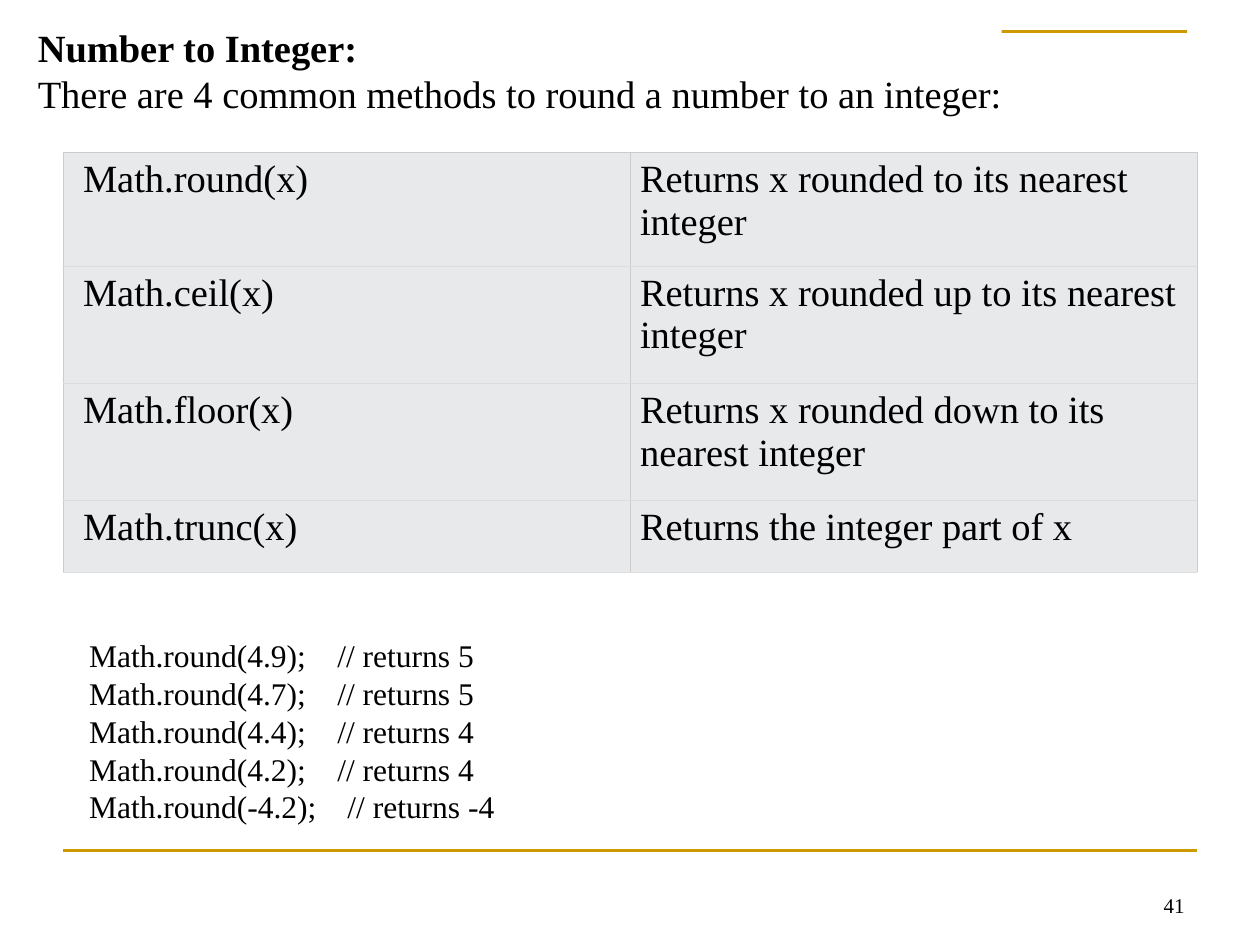
from lxml import etree
from pptx import Presentation, util as u
from pptx.dml.color import RGBColor
from pptx.enum import shapes, text
from pptx.oxml.ns import qn

Inches = u.Inches


def colour(value):
    return RGBColor.from_string(value)


class SlideBuilder:
    font, ink, gold, white = "Times New Roman", "000000", "CC9900", "FFFFFF"
    cell_fill, side_border, row_border = "E7E9EB", "CCCCCC", "DDDDDD"

    def __init__(self, deck):
        self.slide = deck.slides.add_slide(deck.slide_layouts[5])
        self.shapes = self.slide.shapes

    def add_span(self, para, words, size, bold=False):
        span = para.add_run()
        span.text = words
        span.font.name, span.font.size, span.font.bold = self.font, u.Pt(size), bold
        span.font.color.rgb = colour(self.ink)

    def fill_frame(self, frame, lines, size, align=text.PP_ALIGN.LEFT, bold_first=False):
        """Add one paragraph per line and return the paragraphs."""
        for i, line in enumerate(lines):
            para = frame.add_paragraph() if i else frame.paragraphs[0]
            para.alignment = align
            self.add_span(para, line, size, bold_first and i == 0)
        return frame.paragraphs

    def style_line(self, shape):
        shape.line.color.rgb = colour(self.gold)
        shape.line.width = u.Pt(1.5)

    def corner(self, *points):
        start, *rest = [(Inches(x), Inches(y)) for x, y in points]
        builder = self.shapes.build_freeform(*start)
        builder.add_line_segments(rest, close=False)
        shape = builder.convert_to_shape()
        shape.fill.background()
        shape.shadow.inherit = False
        self.style_line(shape)

    def rule(self, x1, y1, x2, y2):
        line = self.shapes.add_connector(
            shapes.MSO_CONNECTOR.STRAIGHT, *map(Inches, (x1, y1, x2, y2)))
        self.style_line(line)
        etree.SubElement(line._element.spPr, qn("a:effectLst"))

    def heading(self, at, lines, size):
        title = self.shapes.title
        title.left, title.top, title.width, title.height = map(Inches, at)
        title.fill.solid()
        title.fill.fore_color.rgb = colour(self.white)
        frame = title.text_frame
        frame.word_wrap = False
        frame.auto_size = text.MSO_AUTO_SIZE.NONE
        frame.vertical_anchor = text.MSO_ANCHOR.MIDDLE
        frame.margin_left = frame.margin_right = 0
        frame.margin_top = frame.margin_bottom = Inches(0.1)
        self.fill_frame(frame, lines, size, bold_first=True)
        # The white title lies over the corner line
        self.shapes._spTree.append(title._element)

    def text_box(self, at, lines, size, anchor=text.MSO_ANCHOR.TOP,
                 align=text.PP_ALIGN.LEFT):
        box = self.shapes.add_textbox(*map(Inches, at))
        box.text_frame.word_wrap = True
        box.text_frame.vertical_anchor = anchor
        return self.fill_frame(box.text_frame, lines, size, align)

    def tab_stop(self, para, position):
        tabs = etree.SubElement(para._p.get_or_add_pPr(), qn("a:tabLst"))
        etree.SubElement(tabs, qn("a:tab"), pos=str(Inches(position)), algn="l")

    def cell_borders(self, cell, top):
        props = cell._tc.get_or_add_tcPr()
        edges = (("L", self.side_border), ("R", self.side_border),
                 ("T", top), ("B", self.row_border))
        for i, (side, value) in enumerate(edges):
            line = etree.Element(qn("a:ln" + side), w=str(u.Pt(0.34)))
            solid = etree.SubElement(line, qn("a:solidFill"))
            etree.SubElement(solid, qn("a:srgbClr"), val=value)
            props.insert(i, line)

    def table(self, at, heights, rows, size):
        grid = self.shapes.add_table(len(rows), len(rows[0]), *map(Inches, at)).table
        grid.first_row = grid.horz_banding = False
        for r, (height, row) in enumerate(zip(heights, rows)):
            grid.rows[r].height = Inches(height)
            for c, words in enumerate(row):
                cell = grid.cell(r, c)
                cell.margin_left = Inches(0.08 if c else 0.16)
                cell.margin_right = Inches(0.08)
                cell.fill.solid()
                cell.fill.fore_color.rgb = colour(self.cell_fill)
                self.cell_borders(cell, self.row_border if r else self.side_border)
                self.fill_frame(cell.text_frame, [words], size)


deck = Presentation()
deck.slide_width, deck.slide_height = Inches(10), Inches(7.5)
page = SlideBuilder(deck)

# Decorative lines
page.corner((0.42, 0.92), (0.42, 0.25), (9.42, 0.25))
page.rule(0.5, 6.75, 9.5, 6.75)

# Rounding methods
page.table((0.5, 1.21, 9, 3.33), (0.9, 0.93, 0.93, 0.57), [
    ("Math.round(x)", "Returns x rounded to its nearest integer"),
    ("Math.ceil(x)", "Returns x rounded up to its nearest integer"),
    ("Math.floor(x)", "Returns x rounded down to its nearest integer"),
    ("Math.trunc(x)", "Returns the integer part of x"),
], 22)

# Slide number
page.text_box((7.17, 6.83, 2.33, 0.5), ["41"], 12,
              text.MSO_ANCHOR.BOTTOM, text.PP_ALIGN.RIGHT)

# Heading
page.heading((0.3, 0.09, 7.65, 0.93), [
    "Number to Integer:",
    "There are 4 common methods to round a number to an integer:",
], 22)

# Code examples, with the comments set on a tab stop
examples = [("4.9", 5), ("4.7", 5), ("4.4", 4), ("4.2", 4), ("-4.2", -4)]
code = page.text_box(
    (0.61, 5, 5, 1.6),
    [f"Math.round({value});\t// returns {result}" for value, result in examples], 18)
for para, (value, result) in zip(code, examples):
    page.tab_stop(para, 2.05 if result < 0 else 1.97)

deck.save("out.pptx")
